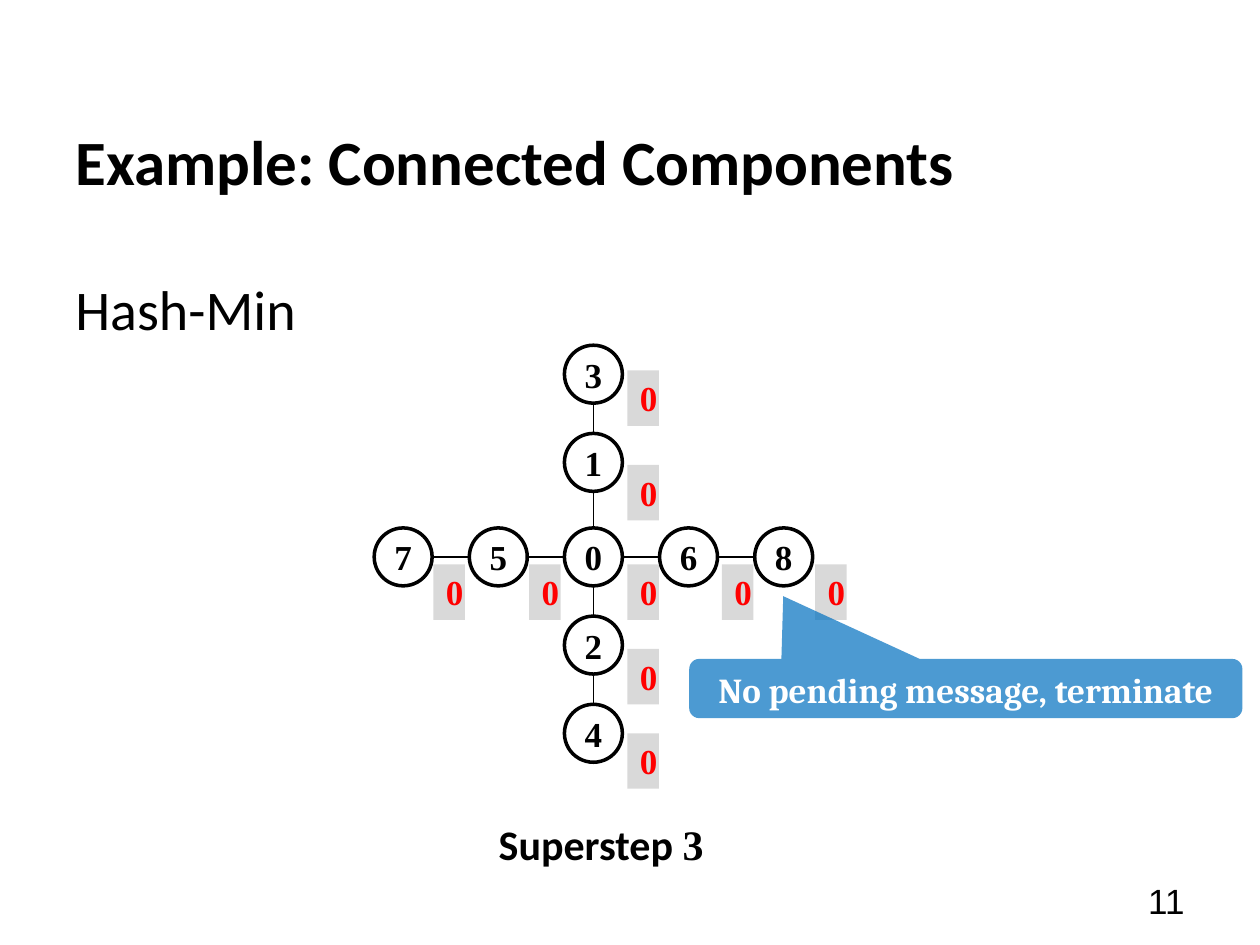
"""Build the Hash-Min connected components slide."""
import pptx
import pptx.dml.color
import pptx.enum.shapes
import pptx.enum.text
import pptx.oxml.ns
import pptx.util
from lxml import etree

Inches = pptx.util.Inches
Pt = pptx.util.Pt
RGB = pptx.dml.color.RGBColor
KIND = pptx.enum.shapes.MSO_SHAPE
ALIGN = pptx.enum.text.PP_ALIGN
ANCHOR = pptx.enum.text.MSO_ANCHOR
qn = pptx.oxml.ns.qn

BLACK = RGB(0x00, 0x00, 0x00)
WHITE = RGB(0xFF, 0xFF, 0xFF)
GREY = RGB(0xD9, 0xD9, 0xD9)
RED = RGB(0xFF, 0x00, 0x00)
BLUE = RGB(0x00, 0x70, 0xC0)

SERIF = "Times New Roman"
DIGIT = {"name": SERIF, "size": Pt(20), "bold": True}
MID_X, MID_Y, GAP_X = 4.71, 4.42, 0.755
SIZE = 0.46
NODES_X = {"7": -2, "5": -1, "6": 1, "8": 2}
NODES_Y = {"3": 2.97, "1": 3.67, "0": MID_Y, "2": 5.12, "4": 5.82}
TAGS_X = [3.44, 4.2, 4.98, 5.73, 6.47]
TAGS_Y = [2.94, 3.69, 5.15, 5.82]


def write(shape, runs, color=BLACK, align=ALIGN.LEFT, frame=None):
    """Fill a shape with one paragraph of (text, font format) runs."""
    text = shape.text_frame
    for key, value in ({"word_wrap": True} | (frame or {})).items():
        setattr(text, key, value)
    line = text.paragraphs[0]
    line.alignment = align
    for words, form in runs:
        run = line.add_run()
        run.text = words
        run.font.color.rgb = color
        for key, value in form.items():
            setattr(run.font, key, value)


def add_text(slide, box, runs, align=ALIGN.LEFT, frame=None):
    """Add a text box."""
    shape = slide.shapes.add_textbox(*map(Inches, box))
    write(shape, runs, align=align, frame=frame)


def add_form(shapes, kind, box, fill):
    """Add a filled preset shape with no outline or shadow."""
    shape = shapes.add_shape(kind, *map(Inches, box))
    shape.shadow.inherit = False
    shape.fill.solid()
    shape.fill.fore_color.rgb = fill
    shape.line.fill.background()
    return shape


def add_edge(group, start, end):
    """Add a thin black line between two points."""
    edge = group.shapes.add_connector(
        pptx.enum.shapes.MSO_CONNECTOR.STRAIGHT, *map(Inches, start + end))
    edge.line.color.rgb = BLACK
    edge.line.width = Pt(0.75)
    etree.SubElement(edge.element.spPr, qn("a:effectLst"))


def add_node(group, name, x, y):
    """Add a numbered circle centred on a point."""
    box = (x - SIZE / 2, y - SIZE / 2, SIZE, SIZE)
    node = add_form(group.shapes, KIND.OVAL, box, WHITE)
    node.line.color.rgb = BLACK
    node.line.width = Pt(2)
    frame = {"vertical_anchor": ANCHOR.MIDDLE, "margin_left": 0,
             "margin_right": 0, "margin_top": 0, "margin_bottom": 0}
    write(node, [(name, DIGIT)], align=ALIGN.CENTER, frame=frame)


def add_tag(slide, x, y):
    """Add a grey tag with the smallest known label."""
    tag = add_form(slide.shapes, KIND.RECTANGLE, (x, y, 0.25, 0.44), GREY)
    write(tag, [("0", DIGIT)], RED, ALIGN.CENTER,
          {"vertical_anchor": ANCHOR.TOP})


def add_graph(slide):
    """Add the cross of nodes and its edges as a group."""
    group = slide.shapes.add_group_shape()
    add_edge(group, (MID_X, 5.7), (MID_X, 3.09))
    add_edge(group, (6.27, MID_Y), (3.2, MID_Y))
    for name, y in NODES_Y.items():
        add_node(group, name, MID_X, y)
    for name, step in NODES_X.items():
        add_node(group, name, MID_X + step * GAP_X, MID_Y)


def add_note(slide):
    """Add the see-through callout that points at node 8."""
    note = add_form(slide.shapes, KIND.ROUNDED_RECTANGULAR_CALLOUT,
                    (5.47, 5.23, 4.39, 0.47), BLUE)
    for i, value in enumerate([-0.33, -1.56, 0.17]):
        note.adjustments[i] = value
    color = note.element.spPr.find(".//" + qn("a:srgbClr"))
    etree.SubElement(color, qn("a:alpha"), val="70000")
    form = {"name": "Cambria", "size": Pt(20), "bold": True}
    write(note, [("No pending message, terminate", form)], WHITE,
          ALIGN.CENTER, {"vertical_anchor": ANCHOR.TOP})


def main():
    """Build and save the slide."""
    deck = pptx.Presentation()
    deck.slide_width, deck.slide_height = Inches(10), Inches(7.5)
    slide = deck.slides.add_slide(deck.slide_layouts[6])
    middle = {"vertical_anchor": ANCHOR.MIDDLE}
    head = {"name": "Calibri", "size": Pt(36), "bold": True}
    add_text(slide, (0.5, 0.65, 9, 1.25),
             [("Example: Connected Components", head)], frame=middle)
    add_text(slide, (0.5, 2.13, 9, 4.62),
             [("Hash-Min", {"name": "Calibri", "size": Pt(32)})])
    add_text(slide, (7.17, 6.95, 2.33, 0.4),
             [("11", {"name": "Arial", "size": Pt(20)})],
             ALIGN.RIGHT, middle)
    add_graph(slide)
    for x in TAGS_X:
        add_tag(slide, x, 4.48)
    for y in TAGS_Y:
        add_tag(slide, 4.98, y)
    step = {"name": "Calibri", "size": Pt(24), "bold": True}
    add_text(slide, (3.86, 6.45, 1.92, 0.5),
             [("Superstep ", step), ("3", step | {"name": SERIF})],
             frame={"word_wrap": False})
    add_note(slide)
    deck.save("out.pptx")


if __name__ == "__main__":
    main()
